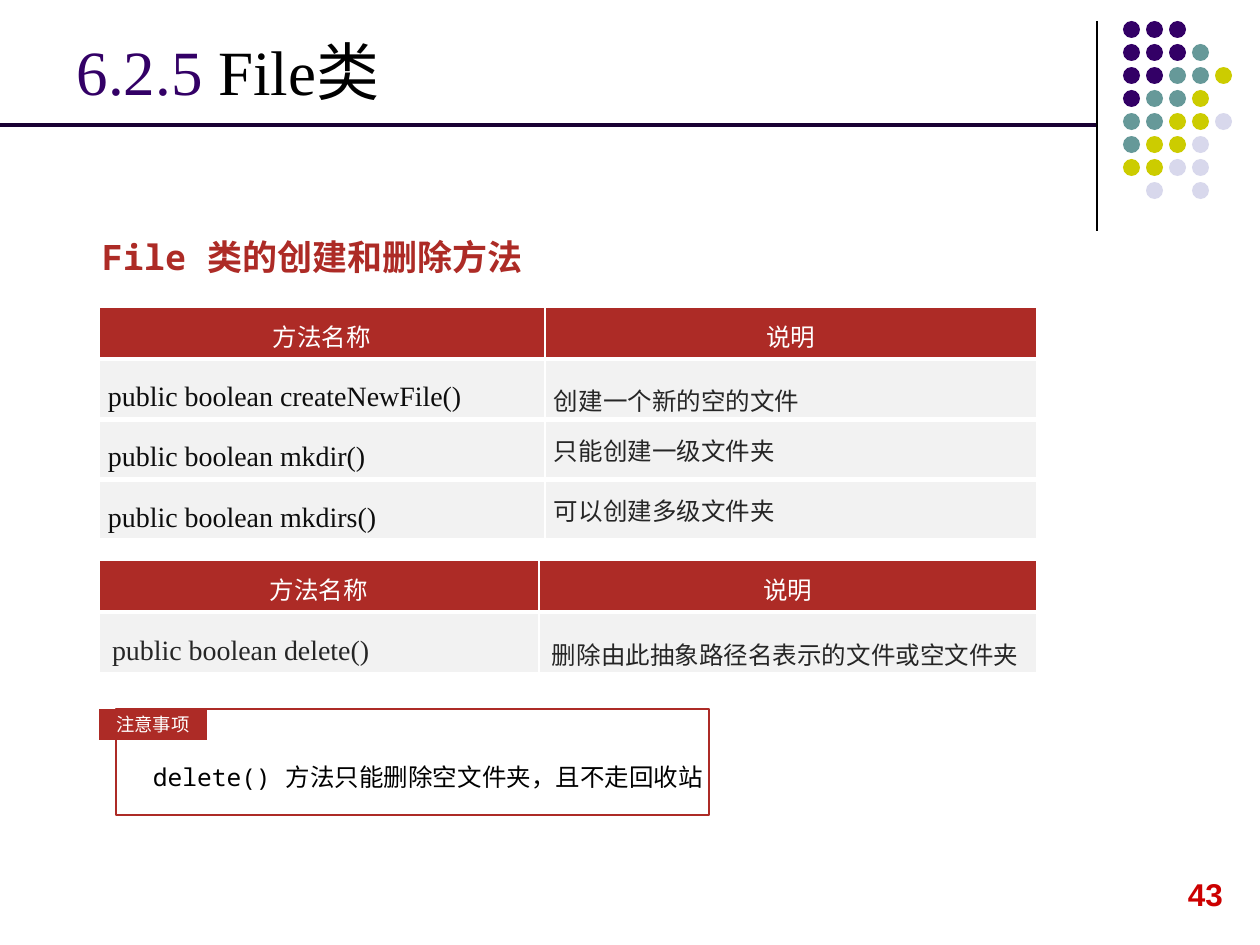
from lxml.etree import SubElement
from pptx import Presentation
from pptx.dml.color import RGBColor
from pptx.enum.shapes import MSO_CONNECTOR as CONNECTOR, MSO_SHAPE as SHAPE
from pptx.enum.text import MSO_ANCHOR as ANCHOR, MSO_AUTO_SIZE as AUTO_SIZE, PP_ALIGN as ALIGN
from pptx.oxml.ns import qn
from pptx.util import Emu, Pt

BLACK = RGBColor(0x00, 0x00, 0x00)
WHITE = RGBColor(0xFF, 0xFF, 0xFF)
PURPLE = RGBColor(0x33, 0x00, 0x66)
DARK_PURPLE = RGBColor(0x19, 0x00, 0x33)
TEAL = RGBColor(0x66, 0x99, 0x99)
YELLOW = RGBColor(0xCC, 0xCC, 0x00)
LAVENDER = RGBColor(0xD8, 0xD8, 0xEC)
RED = RGBColor(0xAD, 0x2B, 0x26)
PAGE_RED = RGBColor(0xCC, 0x00, 0x00)
PALE_GREY = RGBColor(0xF2, 0xF2, 0xF2)
INK = RGBColor(0x0D, 0x0D, 0x0D)
SOFT_INK = RGBColor(0x26, 0x26, 0x26)

SANS, SERIF, MONO = "Arial", "Times New Roman", "Noto Sans Mono"
CJK_SC, CJK_JP = "Noto Sans CJK SC", "Noto Sans CJK JP"
DOT_COLOURS = {"P": PURPLE, "T": TEAL, "Y": YELLOW, "L": LAVENDER}
DOT_ROWS = ["PPP", "PPPT", "PPTTY", "PTTY", "TTYYL", "TYYL", "YYLL", " L L"]


def px(length):
    """Turn a length in px into EMU."""
    return Emu(round(length * 914400 / 126))


class SlideBuilder:
    """Hold the style and the current slide."""

    def __init__(self, slide):
        self.slide = slide
        self.shapes = slide.shapes

    def style(self, run, size, face, colour, bold=False, cjk=CJK_SC):
        """Format one run for Latin and Chinese text."""
        font = run.font
        font.size, font.name, font.bold = Pt(size), face, bold
        font.color.rgb = colour
        SubElement(run._r.get_or_add_rPr(), qn("a:ea")).set("typeface", cjk)

    def title(self, box, parts):
        """Move the title placeholder and colour its parts."""
        title = self.shapes.title
        title.left, title.top, title.width, title.height = map(px, box)
        frame = title.text_frame
        frame.vertical_anchor = ANCHOR.MIDDLE
        paragraph = frame.paragraphs[0]
        paragraph.alignment = ALIGN.LEFT
        for text, colour in parts:
            run = paragraph.add_run()
            run.text = text
            self.style(run, 36, SERIF, colour)

    def text(self, box, text, size, face, colour, spacing=1.0, bold=False, inset=13):
        """Add a one-paragraph text box."""
        frame = self.shapes.add_textbox(*map(px, box)).text_frame
        frame.word_wrap = True
        frame.margin_left, frame.margin_right = px(inset), 0
        frame.auto_size = AUTO_SIZE.SHAPE_TO_FIT_TEXT
        frame.text = text
        paragraph = frame.paragraphs[0]
        paragraph.line_spacing = spacing
        self.style(paragraph.runs[0], size, face, colour, bold)

    def shape(self, kind, box, fill=None, line=None):
        """Add a preset shape."""
        shape = self.shapes.add_shape(kind, *map(px, box))
        shape.shadow.inherit = False
        if fill is None:
            shape.fill.background()
        else:
            shape.fill.solid()
            shape.fill.fore_color.rgb = fill
        if line is None:
            shape.line.fill.background()
        else:
            shape.line.color.rgb = line
            shape.line.width = Pt(0.75)
        return shape

    def label(self, box, text):
        """Add a filled label with centred text."""
        frame = self.shape(SHAPE.RECTANGLE, box, RED).text_frame
        frame.text = text
        frame.vertical_anchor = ANCHOR.MIDDLE
        frame.paragraphs[0].alignment = ALIGN.CENTER
        self.style(frame.paragraphs[0].runs[0], 10.5, SANS, WHITE)

    def line(self, ends, colour, width):
        """Add a straight line."""
        line = self.shapes.add_connector(CONNECTOR.STRAIGHT, *map(px, ends))
        line.line.color.rgb = colour
        line.line.width = Pt(width)
        SubElement(line._element.spPr, qn("a:effectLst"))

    def dots(self, left, top, pitch, size):
        """Add the triangle of coloured dots."""
        for row, letters in enumerate(DOT_ROWS):
            for column, letter in enumerate(letters):
                if letter in DOT_COLOURS:
                    box = (left + column * pitch, top + row * pitch, size, size)
                    self.shape(SHAPE.OVAL, box, DOT_COLOURS[letter])

    def cell(self, cell, text, fill, margins, spacing, top_border):
        """Fill one cell, rule its edges and return its paragraph."""
        properties = cell._tc.get_or_add_tcPr()
        for edge, width in (("L", 1), ("R", 1), ("T", top_border), ("B", 3)):
            border = SubElement(properties, qn(f"a:ln{edge}"), w=str(Pt(width)))
            SubElement(SubElement(border, qn("a:solidFill")), qn("a:srgbClr"), val=str(WHITE))
        cell.fill.solid()
        cell.fill.fore_color.rgb = fill
        side, end = map(px, margins)
        cell.margin_left = cell.margin_right = side
        cell.margin_top = cell.margin_bottom = end
        cell.vertical_anchor = ANCHOR.MIDDLE
        cell.text = text
        paragraph = cell.text_frame.paragraphs[0]
        paragraph.line_spacing = spacing
        return paragraph

    def table(self, box, widths, heights, methods, margins, ink, cjk):
        """Add a table of methods under a red header."""
        table = self.shapes.add_table(len(heights), 2, *map(px, box)).table
        table.first_row = table.horz_banding = False
        for column, width in zip(table.columns, widths):
            column.width = px(width)
        for row, height in zip(table.rows, heights):
            row.height = px(height)
        for column, heading in enumerate(("方法名称", "说明")):
            paragraph = self.cell(table.cell(0, column), heading, RED, (9, 5), Pt(24), 1)
            paragraph.alignment = ALIGN.CENTER
            self.style(paragraph.runs[0], 14, SANS, WHITE)
        for row, (method, meaning, spacing) in enumerate(methods, 1):
            paragraph = self.cell(table.cell(row, 0), method, PALE_GREY, margins, 1.5, 3)
            self.style(paragraph.runs[0], 16, SERIF, ink)
            paragraph = self.cell(table.cell(row, 1), meaning, PALE_GREY, margins, spacing, 3)
            self.style(paragraph.runs[0], 14, cjk, SOFT_INK, cjk=cjk)


def main():
    """Build the slide and save it."""
    deck = Presentation()
    deck.slide_width, deck.slide_height = px(1260), px(945)
    page = SlideBuilder(deck.slides.add_slide(deck.slide_layouts[5]))

    page.line((1097, 21, 1097, 231), BLACK, 0.75)
    page.dots(1123, 21, 23, 17)
    page.text((1175, 869, 60, 50), "43", 18, SANS, PAGE_RED, bold=True)
    page.text((89, 187, 484, 86), "File 类的创建和删除方法", 20, MONO, RED, spacing=2.0, bold=True)

    creators = [
        ("public boolean createNewFile()", "创建一个新的空的文件", 1.5),
        ("public boolean mkdir()", "只能创建一级文件夹", 1.0),
        ("public boolean mkdirs()", "可以创建多级文件夹", 1.0),
    ]
    removers = [("public boolean delete()", "删除由此抽象路径名表示的文件或空文件夹", 1.5)]
    page.table((99, 307, 938, 208), (446, 492), (47, 52, 39, 47), creators, (9, 5), INK, CJK_JP)
    page.table((99, 560, 938, 103), (440, 498), (45, 57), removers, (13, 6), SOFT_INK, CJK_SC)

    page.text((126, 741, 622, 53), "delete() 方法只能删除空文件夹，且不走回收站", 14, MONO, BLACK,
              spacing=1.5, inset=27)
    page.shape(SHAPE.RECTANGLE, (116, 709, 593, 106), line=RED)
    page.label((99, 709, 108, 31), "注意事项")

    page.title((64, 20, 1040, 100), [("6.2.5 ", PURPLE), ("File类", BLACK)])
    page.line((0, 125, 1096, 125), DARK_PURPLE, 2.25)
    deck.save("out.pptx")


if __name__ == "__main__":
    main()
